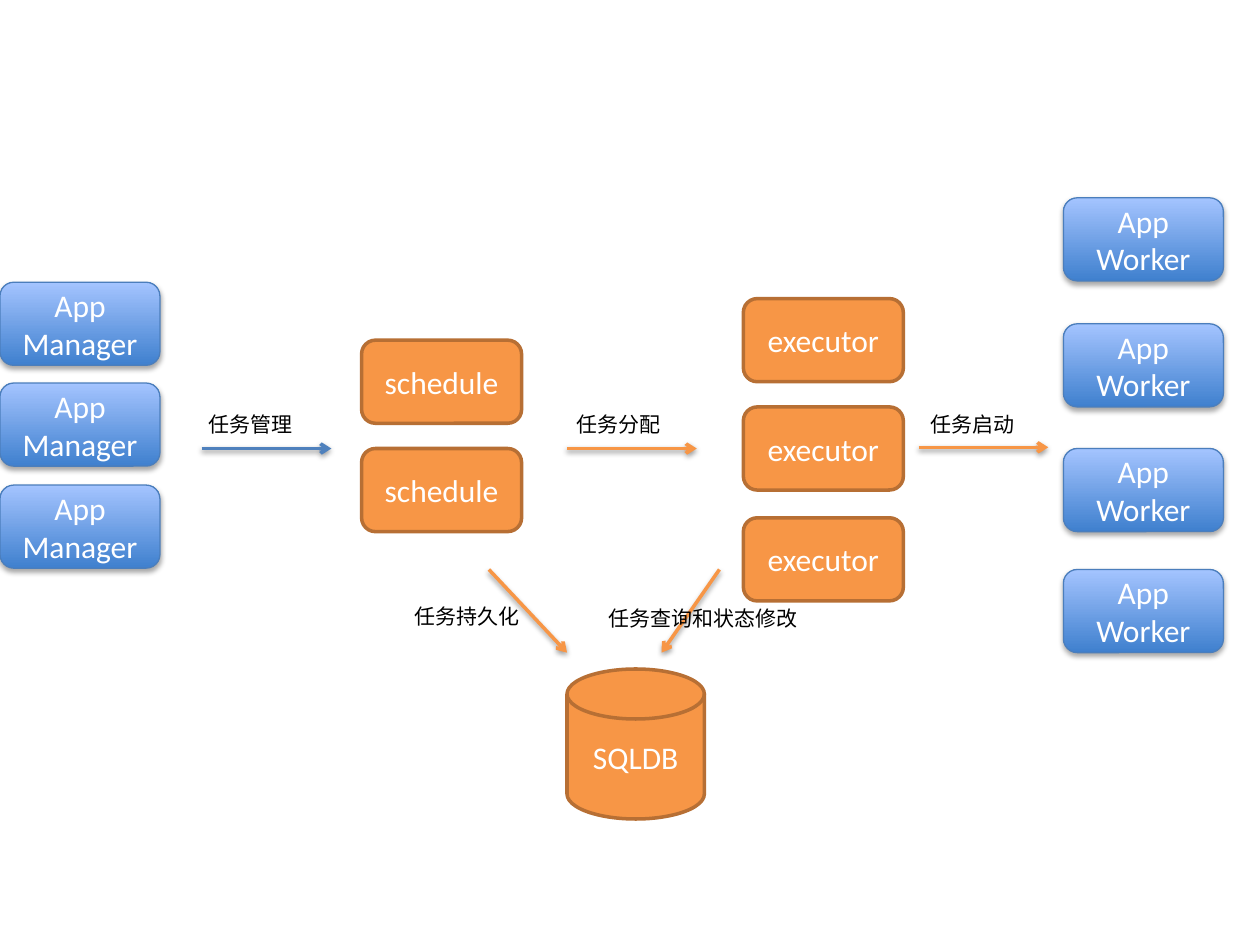
from lxml.etree import SubElement
from pptx import Presentation
from pptx.dml.color import RGBColor
from pptx.enum.shapes import MSO_CONNECTOR, MSO_SHAPE
from pptx.enum.text import MSO_ANCHOR, MSO_AUTO_SIZE, PP_ALIGN
from pptx.oxml.ns import qn
from pptx.util import Inches, Pt

THEME = {
    "font": "Calibri", "node_size": 18, "label_size": 12,
    "white": "FFFFFF", "black": "000000",
    "orange": "F79646", "orange_edge": "B76F34",
    "blue": "4F81BD", "blue_edge": "4B7EBC",
    "blue_dark": "3F80CE", "blue_light": "A4C4FF",
}
colour = {name: RGBColor.from_string(value) for name, value in THEME.items()
          if name not in ("font", "node_size", "label_size")}


def write(frame, text, size, color, align=PP_ALIGN.LEFT, anchor=MSO_ANCHOR.TOP, wrap=True):
    frame.text = text
    frame.word_wrap = wrap
    frame.vertical_anchor = anchor
    for paragraph in frame.paragraphs:
        paragraph.alignment = align
        font = paragraph.runs[0].font
        font.name, font.size, font.color.rgb = THEME["font"], Pt(size), color


def drop_shadow(effects, distance, opacity):
    shadow = SubElement(effects, qn("a:outerShdw"), blurRad=str(Pt(3.1)), dist=str(Pt(distance)),
                        dir="5400000", rotWithShape="0")
    black = SubElement(shadow, qn("a:srgbClr"), val=THEME["black"])
    SubElement(black, qn("a:alpha"), val=str(opacity * 1000))


deck = Presentation()
deck.slide_width, deck.slide_height = Inches(10), Inches(7.5)
slide = deck.slides.add_slide(deck.slide_layouts[6])

# Columns of nodes: text, left, tops, size, outline, soft blue style
BOX = (1.27, 0.66)
rounded = MSO_SHAPE.ROUNDED_RECTANGLE
columns = [
    ("schedule", 2.87, (2.7, 3.56), BOX, rounded, False),
    ("executor", 5.9, (2.37, 3.23, 4.11), BOX, rounded, False),
    ("SQLDB", 4.5, (5.31,), (1.09, 1.19), MSO_SHAPE.FLOWCHART_MAGNETIC_DISK, False),
    ("App Manager", 0, (2.24, 3.04, 3.85), BOX, rounded, True),
    ("App\nWorker", 8.44, (1.57, 2.57, 3.56, 4.52), BOX, rounded, True),
]
for text, left, tops, (width, height), outline, is_app in columns:
    for top in tops:
        node = slide.shapes.add_shape(outline, Inches(left), Inches(top), Inches(width), Inches(height))
        node.shadow.inherit = False
        if is_app:
            node.fill.gradient()
            node.fill.gradient_angle = 90
            for stop, shade in zip(node.fill.gradient_stops, ("blue_dark", "blue_light")):
                stop.color.rgb = colour[shade]
            drop_shadow(node._element.spPr.find(qn("a:effectLst")), 1.8, 35)
        else:
            node.fill.solid()
            node.fill.fore_color.rgb = colour["orange"]
        node.line.color.rgb = colour["blue_edge" if is_app else "orange_edge"]
        node.line.width = Pt(0.75 if is_app else 2)
        write(node.text_frame, text, THEME["node_size"], colour["white"],
              align=PP_ALIGN.CENTER, anchor=MSO_ANCHOR.MIDDLE)

# Flows: label, label box, arrow start, arrow end, colour
flows = [
    ("任务管理", (1.56, 3.22, 0.88), (1.6, 3.56), (2.63, 3.56), "blue"),
    ("任务分配", (4.48, 3.22, 0.88), (4.5, 3.56), (5.53, 3.56), "orange"),
    ("任务启动", (7.29, 3.22, 0.88), (7.29, 3.55), (8.32, 3.55), "orange"),
    ("任务持久化", (3.19, 4.74, 1.04), (3.88, 4.52), (4.5, 5.18), "orange"),
    ("任务查询和状态修改", (4.73, 4.76, 1.72), (5.71, 4.52), (5.25, 5.18), "orange"),
]
for text, (left, top, width), start, end, shade in flows:
    arrow = slide.shapes.add_connector(MSO_CONNECTOR.STRAIGHT, *map(Inches, start + end))
    arrow.line.color.rgb = colour[shade]
    arrow.line.width = Pt(2)
    SubElement(arrow.line._get_or_add_ln(), qn("a:tailEnd"), type="arrow")
    drop_shadow(SubElement(arrow._element.spPr, qn("a:effectLst")), 1.6, 38)

    label = slide.shapes.add_textbox(Inches(left), Inches(top), Inches(width), Inches(0.3))
    write(label.text_frame, text, THEME["label_size"], colour["black"], wrap=False)
    label.text_frame.auto_size = MSO_AUTO_SIZE.SHAPE_TO_FIT_TEXT

deck.save("out.pptx")
